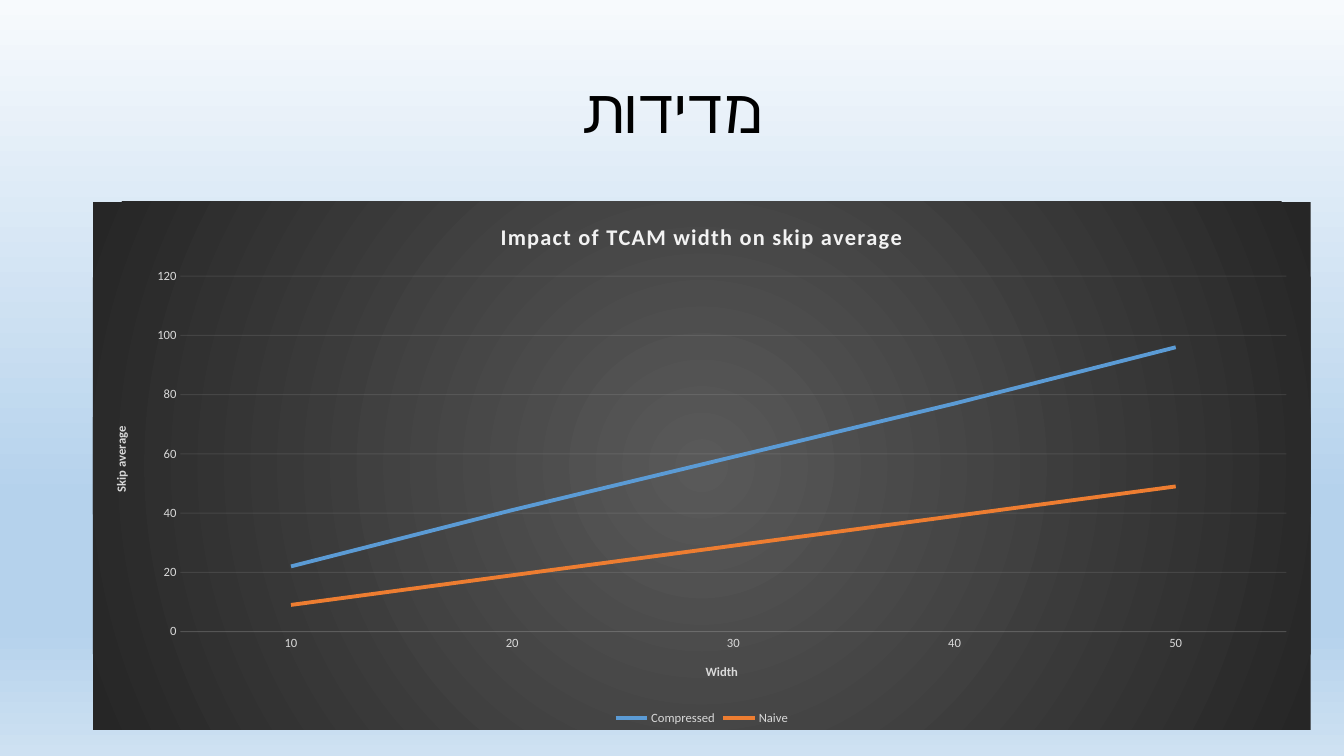
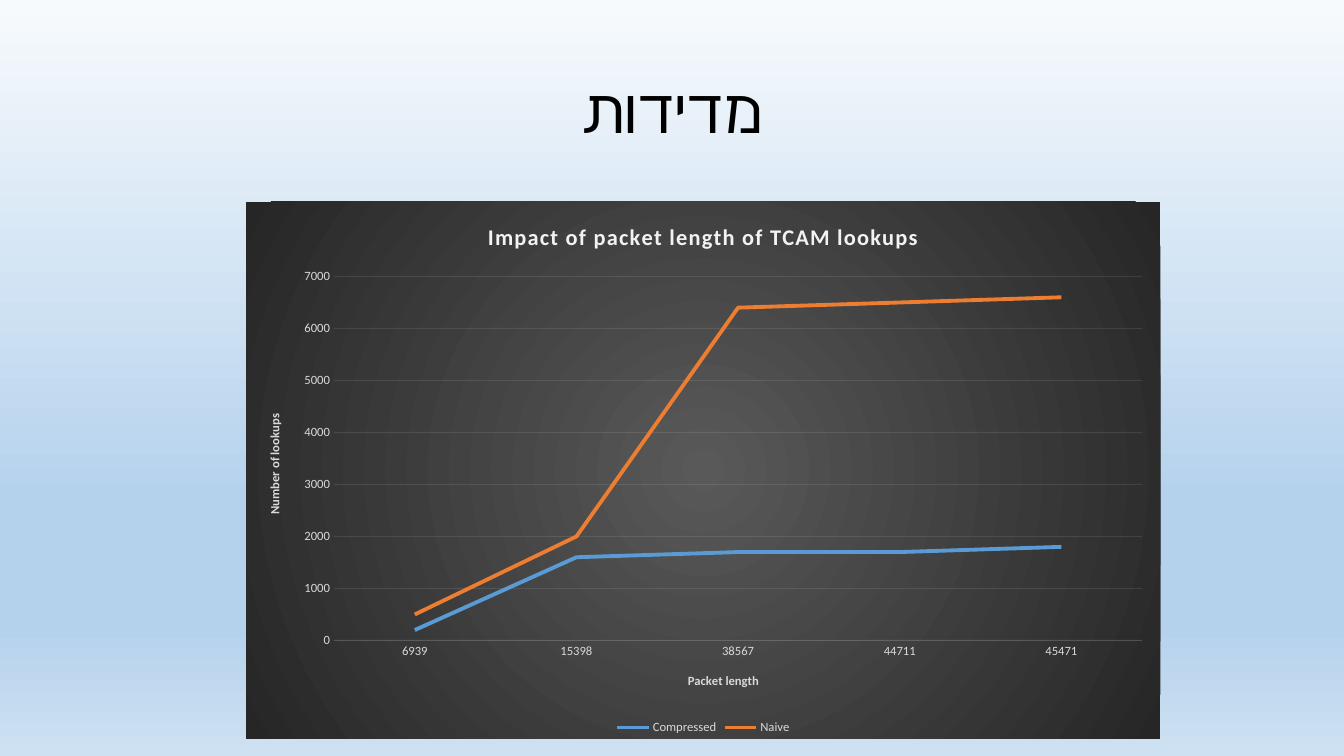
import dataclasses

import pptx
import pptx.chart.data
import pptx.dml.color
import pptx.enum.chart
import pptx.enum.text
import pptx.oxml
import pptx.oxml.ns
import pptx.util

Inches = pptx.util.Inches
Pt = pptx.util.Pt
qn = pptx.oxml.ns.qn


@dataclasses.dataclass(frozen=True)
class Theme:
    font: str = "Calibri"
    title_color: str = "000000"
    chart_title_color: str = "F2F2F2"
    label_color: str = "D9D9D9"
    grid_color: str = "F2F2F2"
    series_colors: tuple = ("5B9BD5", "ED7D31")
    sky: tuple = ((0, "F7FAFD"), (66, "B5D2EC"), (83, "B5D2EC"), (100, "CEE1F2"))
    charcoal: tuple = ((0, "595959"), (100, "262626"))
    title_size: int = 44
    chart_title_size: int = 16
    label_size: int = 9
    grid_width: float = 0.75
    series_width: float = 2.75
    grid_opacity: int = 10


def rgb(color):
    return pptx.dml.color.RGBColor.from_string(color)


def parse_drawing(xml):
    """Parse an XML fragment that uses the a: and c: prefixes."""
    head, tail = xml.split(">", 1)
    return pptx.oxml.parse_xml(f'{head} {pptx.oxml.ns.nsdecls("a", "c")}>{tail}')


def gradient_xml(stops, direction):
    marks = "".join(
        f'<a:gs pos="{place * 1000}"><a:srgbClr val="{color}"/></a:gs>'
        for place, color in stops
    )
    return f"<a:gradFill><a:gsLst>{marks}</a:gsLst>{direction}</a:gradFill>"


def set_font(font, name, size, color, bold=False):
    font.name = name
    font.size = Pt(size)
    font.bold = bold
    font.color.rgb = rgb(color)


def write(frame, text, spacing=None, **style):
    """Put one formatted line of text into a text frame."""
    para = frame.paragraphs[0]
    span = para.add_run()
    span.text = text
    set_font(span.font, **style)
    if spacing is not None:
        span.font._element.set("spc", str(spacing))
    return para


class Slides:
    def __init__(self, theme):
        self.theme = theme
        self.deck = pptx.Presentation()
        self.deck.slide_width = Inches(13.33)
        self.deck.slide_height = Inches(7.5)
        self.page = None

    def add_page(self, title):
        self.page = self.deck.slides.add_slide(self.deck.slide_layouts[6])
        self.page.background.fill.solid()
        plain = self.page.element.xpath(".//p:bgPr/a:solidFill")[0]
        downward = '<a:lin ang="5400000" scaled="0"/>'
        plain.getparent().replace(
            plain, parse_drawing(gradient_xml(self.theme.sky, downward)))
        self.add_title(title)

    def add_title(self, text):
        theme = self.theme
        box = self.page.shapes.add_textbox(
            Inches(0.92), Inches(0.4), Inches(11.5), Inches(1.45))
        frame = box.text_frame
        frame.word_wrap = True
        frame.vertical_anchor = pptx.enum.text.MSO_ANCHOR.MIDDLE
        para = write(frame, text, name=theme.font, size=theme.title_size,
                     color=theme.title_color)
        para.alignment = pptx.enum.text.PP_ALIGN.CENTER
        para.line_spacing = 0.9
        para._p.get_or_add_pPr().set("rtl", "1")

    def add_line_chart(self, title, left, width, height, axis_titles, categories, series):
        theme = self.theme
        data = pptx.chart.data.CategoryChartData()
        data.categories = categories
        for name, values in series.items():
            data.add_series(name, values)
        chart = self.page.shapes.add_chart(
            pptx.enum.chart.XL_CHART_TYPE.LINE, Inches(left), Inches(2),
            Inches(width), Inches(height), data).chart
        set_font(chart.font, theme.font, theme.label_size, theme.label_color)

        chart.has_title = True
        write(chart.chart_title.text_frame, title, spacing=100, name=theme.font,
              size=theme.chart_title_size, color=theme.chart_title_color, bold=True)
        chart.has_legend = True
        chart.legend.position = pptx.enum.chart.XL_LEGEND_POSITION.BOTTOM
        chart.legend.include_in_layout = False
        set_font(chart.legend.font, theme.font, theme.label_size, theme.label_color)

        chart.plots[0].vary_by_categories = False
        for line, color in zip(chart.plots[0].series, theme.series_colors):
            line.smooth = False
            line.format.line.color.rgb = rgb(color)
            line.format.line.width = Pt(theme.series_width)

        self.style_axes(chart, axis_titles)
        self.fill_chart(chart)

    def style_axes(self, chart, titles):
        theme = self.theme
        no_tick = pptx.enum.chart.XL_TICK_MARK.NONE
        for axis, title in zip((chart.category_axis, chart.value_axis), titles):
            axis.major_tick_mark = axis.minor_tick_mark = no_tick
            set_font(axis.tick_labels.font, theme.font, theme.label_size, theme.label_color)
            write(axis.axis_title.text_frame, title, name=theme.font,
                  size=theme.label_size, color=theme.label_color, bold=True)
        chart.value_axis.format.line.fill.background()
        chart.value_axis.has_major_gridlines = True
        for ruled in (chart.category_axis, chart.value_axis.major_gridlines):
            ruled.format.line.color.rgb = rgb(theme.grid_color)
            ruled.format.line.width = Pt(theme.grid_width)
        for color in chart.element.xpath(
                ".//c:catAx/c:spPr//a:srgbClr | .//c:majorGridlines//a:srgbClr"):
            color.append(parse_drawing(f'<a:alpha val="{theme.grid_opacity * 1000}"></a:alpha>'))

    def fill_chart(self, chart):
        outward = ('<a:path path="circle">'
                   '<a:fillToRect l="50000" t="50000" r="50000" b="50000"/></a:path>')
        fill = gradient_xml(self.theme.charcoal, outward)
        chart.element.find(qn("c:chart")).addnext(parse_drawing(
            f"<c:spPr>{fill}<a:ln><a:noFill/></a:ln></c:spPr>"))


def main():
    slides = Slides(Theme())
    heading = "מדידות"

    slides.add_page(heading)
    slides.add_line_chart(
        "Impact of TCAM width on skip average",
        left=0.92, width=12.08, height=5.24,
        axis_titles=("Width", "Skip average"),
        categories=("10", "20", "30", "40", "50"),
        series={"Compressed": (22, 41, 59, 77, 96), "Naive": (9, 19, 29, 39, 49)})

    slides.add_page(heading)
    slides.add_line_chart(
        "Impact of packet length of TCAM lookups",
        left=2.44, width=9.07, height=5.33,
        axis_titles=("Packet length", "Number of lookups"),
        categories=("6939", "15398", "38567", "44711", "45471"),
        series={"Compressed": (200, 1600, 1700, 1700, 1800),
                "Naive": (500, 2000, 6400, 6500, 6600)})

    slides.deck.save("out.pptx")


if __name__ == "__main__":
    main()
